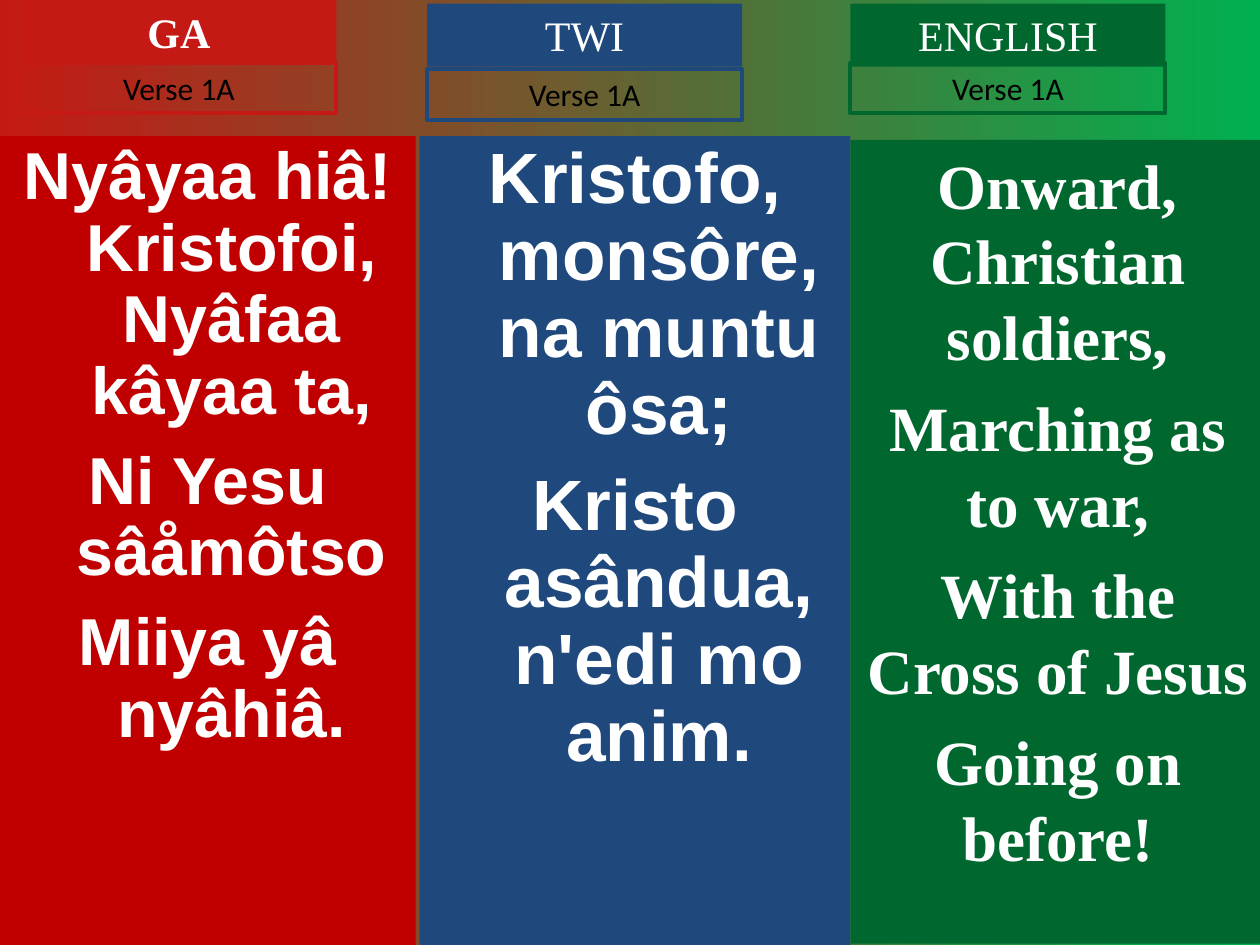
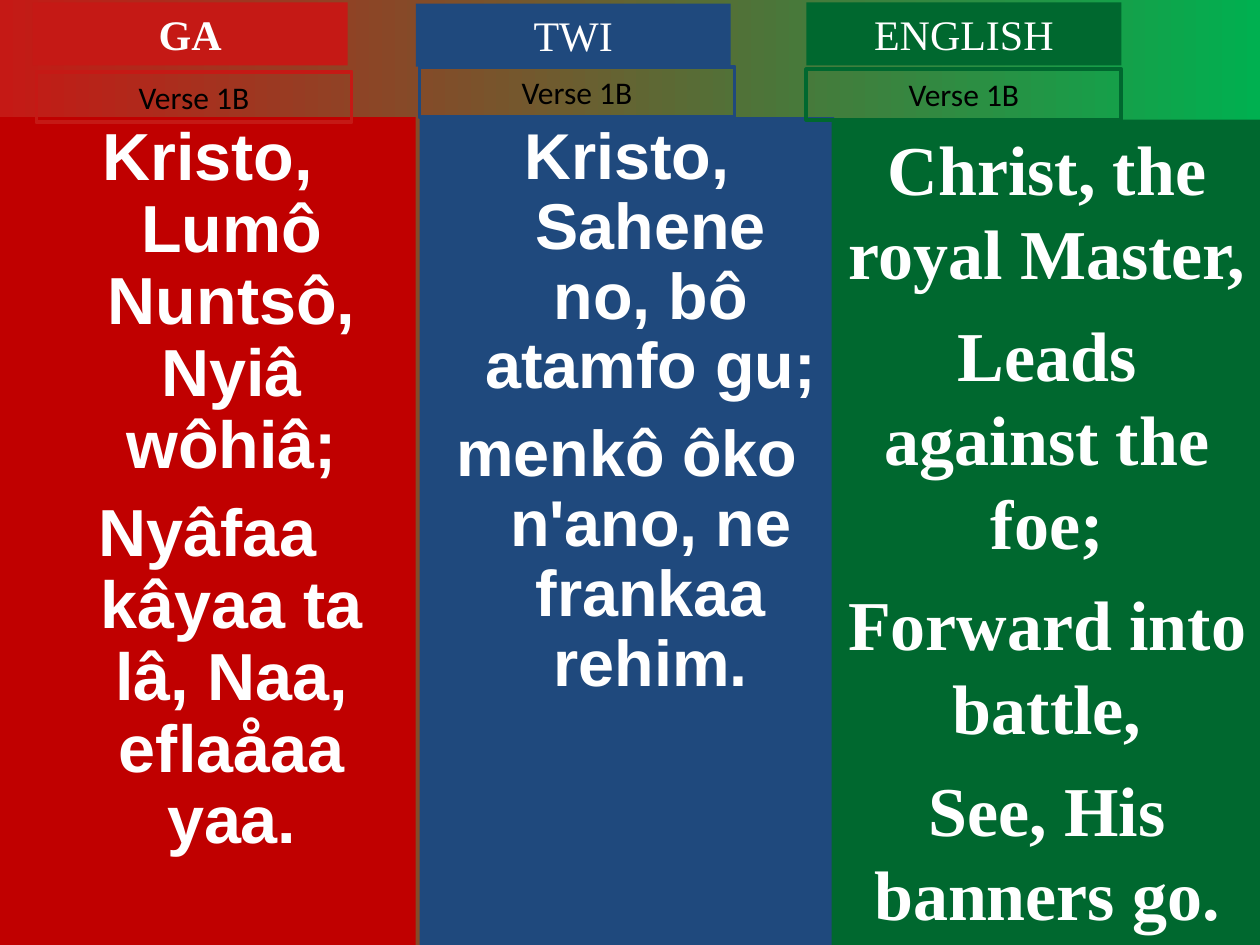
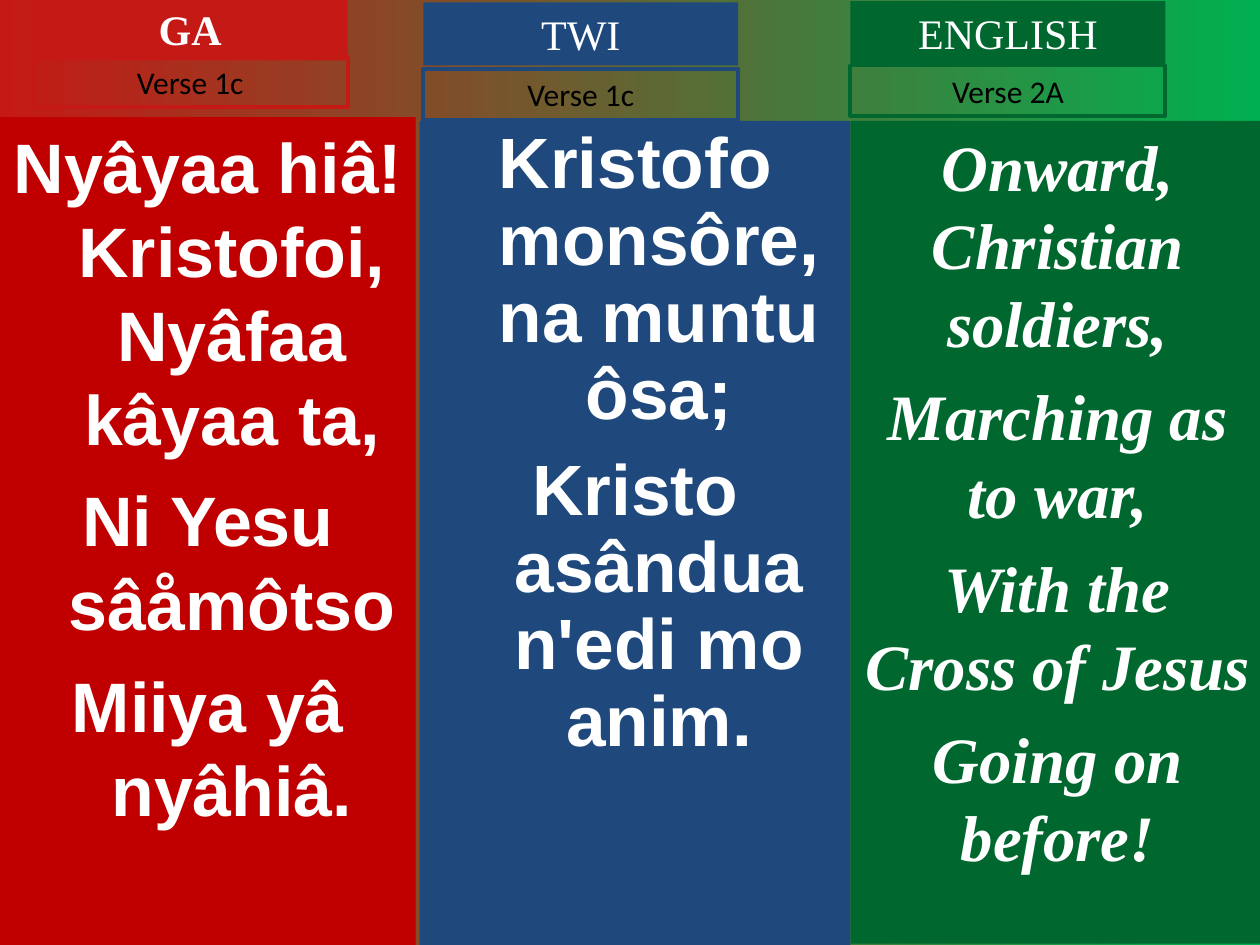
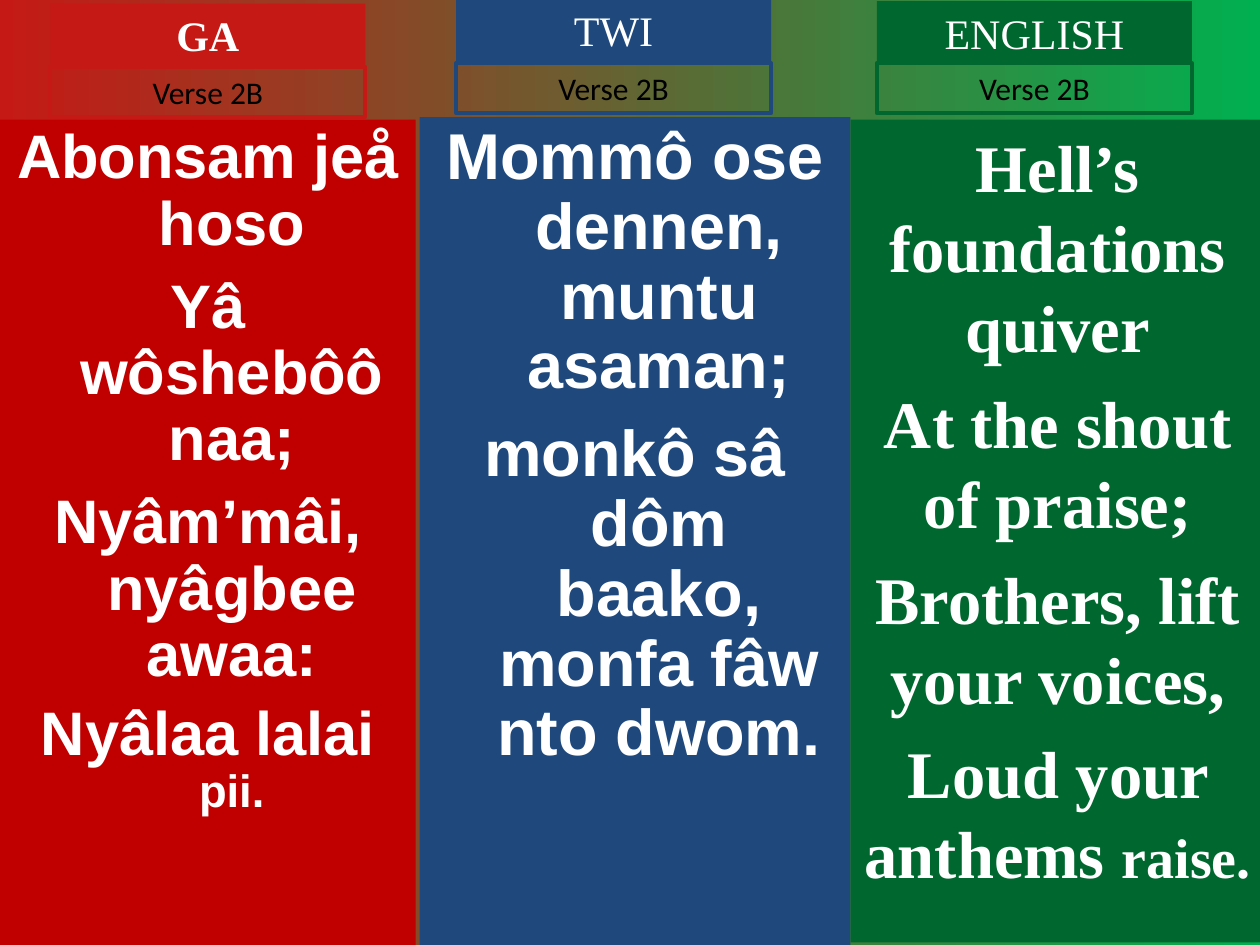
"""Build four hymn slides that set Ga, Twi and English lyrics side by side."""

from pptx import Presentation
from pptx.dml.color import RGBColor
from pptx.enum.shapes import MSO_SHAPE as Shape
from pptx.enum.text import MSO_ANCHOR as Anchor, MSO_AUTO_SIZE as AutoSize, PP_ALIGN as Align
from pptx.util import Inches, Pt

COLOURS = {
    "panel_red": "C00000",
    "label_red": "C51915",
    "blue": "1F497D",
    "green": "00682F",
    "background_green": "00B050",
    "white": "FFFFFF",
    "black": "000000",
}
HEADER_SIZE = (2.5, 0.5)
VERSE_SIZE = (2.5, 0.4)

LANGUAGES = [
    {"name": "GA", "panel": "panel_red", "label": "label_red", "font": "Arial",
     "header_bold": True, "indent": 0.38, "line_spacing": 0.9},
    {"name": "TWI", "panel": "blue", "label": "blue", "font": "Arial",
     "header_bold": False, "indent": 0.38, "line_spacing": 0.9},
    {"name": "ENGLISH", "panel": "green", "label": "green", "font": "Times New Roman",
     "header_bold": False, "indent": 0, "line_spacing": 1.0},
]

SLIDES = [
    [
        {"panel": (0, 1.08, 3.3, 6.42), "header": (0.17, 0), "verse": (0.17, 0.5),
         "label": "Verse 1A", "size": 37.9, "space": 10.3,
         "lyrics": ["Nyâyaa hiâ! Kristofoi, Nyâfaa kâyaa ta,", "Ni Yesu sâåmôtso",
                    "Miiya yâ nyâhiâ."]},
        {"panel": (3.33, 1.08, 3.42, 6.42), "header": (3.39, 0.03), "verse": (3.39, 0.55),
         "label": "Verse 1A", "size": 40.7, "space": 11,
         "lyrics": ["Kristofo, monsôre, na muntu ôsa;", "Kristo asândua, n'edi mo anim."]},
        {"panel": (6.75, 1.11, 3.29, 6.38), "header": (6.75, 0.03), "verse": (6.75, 0.5),
         "label": "Verse 1A", "size": 36, "space": 9,
         "lyrics": ["Onward, Christian soldiers,", "Marching as to war,",
                    "With the Cross of Jesus", "Going on before!"]},
    ],
    [
        {"panel": (0, 0.93, 3.3, 6.57), "header": (0.26, 0.02), "verse": (0.29, 0.57),
         "label": "Verse 1B", "size": 38, "space": 9.5,
         "lyrics": ["Kristo, Lumô Nuntsô, Nyiâ wôhiâ;",
                    "Nyâfaa kâyaa ta lâ, Naa, eflaåaa yaa."]},
        {"panel": (3.33, 0.93, 3.29, 6.57), "header": (3.3, 0.03), "verse": (3.33, 0.53),
         "label": "Verse 1B", "size": 37, "space": 10,
         "lyrics": ["Kristo, Sahene no, bô atamfo gu;", "menkô ôko n'ano, ne frankaa rehim."]},
        {"panel": (6.6, 0.95, 3.42, 6.57), "header": (6.4, 0.02), "verse": (6.4, 0.55),
         "label": "Verse 1B", "size": 40, "space": 10,
         "lyrics": ["Christ, the royal Master,", "Leads against the foe;",
                    "Forward into battle,", "See, His banners go."]},
    ],
    [
        {"panel": (0, 0.93, 3.3, 6.57), "header": (0.26, -0.02), "verse": (0.26, 0.45),
         "label": "Verse 1c", "size": 40, "space": 10, "line_spacing": 1.0,
         "lyrics": ["Nyâyaa hiâ! Kristofoi, Nyâfaa kâyaa ta,", "Ni Yesu sâåmôtso",
                    "Miiya yâ nyâhiâ."]},
        {"panel": (3.33, 0.96, 3.42, 6.54), "header": (3.36, 0.02), "verse": (3.36, 0.55),
         "label": "Verse 1c", "size": 40.7, "space": 11,
         "lyrics": ["Kristofo monsôre, na muntu ôsa;", "Kristo asândua n'edi mo anim."]},
        {"panel": (6.75, 0.96, 3.29, 6.53), "header": (6.75, 0.01), "verse": (6.75, 0.52),
         "label": "Verse 2A", "size": 37, "space": 9.2, "italic": True,
         "lyrics": ["Onward, Christian soldiers,", "Marching as to war,",
                    "With the Cross of Jesus", "Going on before!"]},
    ],
    [
        {"panel": (0, 0.95, 3.3, 6.55), "header": (0.4, 0.03), "verse": (0.4, 0.53),
         "label": "Verse 2B", "size": 35.1, "space": 9.5,
         "lyrics": ["Abonsam jeå hoso", "Yâ wôshebôô naa;", "Nyâm’mâi, nyâgbee awaa:",
                    "Nyâlaa lalai "],
         "last_word": "pii.", "last_size": 25.9, "last_space": 7},
        {"panel": (3.33, 0.93, 3.42, 6.57), "header": (3.62, -0.01), "verse": (3.62, 0.5),
         "label": "Verse 2B", "size": 37, "space": 10,
         "lyrics": ["Mommô ose dennen, muntu asaman;",
                    "monkô sâ dôm baako, monfa fâw nto dwom."]},
        {"panel": (6.75, 0.95, 3.29, 6.53), "header": (6.96, 0.01), "verse": (6.96, 0.5),
         "label": "Verse 2B", "size": 38, "space": 9.5,
         "lyrics": ["Hell’s foundations quiver", "At the shout of praise;",
                    "Brothers, lift your voices,", "Loud your anthems "],
         "last_word": "raise.", "last_size": 32, "last_space": 8},
    ],
]


def add_box(slide, bounds, fill=None, line=None):
    """Add a rectangle with top-anchored, wrapping text and return it."""
    shape = slide.shapes.add_shape(Shape.RECTANGLE, *[Inches(value) for value in bounds])
    shape.shadow.inherit = False
    if fill:
        shape.fill.solid()
        shape.fill.fore_color.rgb = RGBColor.from_string(COLOURS[fill])
    else:
        shape.fill.background()
    if line:
        shape.line.color.rgb = RGBColor.from_string(COLOURS[line])
        shape.line.width = Pt(2.25)
    else:
        shape.line.fill.background()
    shape.text_frame.word_wrap = True
    shape.text_frame.vertical_anchor = Anchor.TOP
    return shape


def format_runs(paragraph, font_name, size, colour, bold=False, italic=False):
    """Centre a paragraph and style all of its runs."""
    paragraph.alignment = Align.CENTER
    for run in paragraph.runs:
        run.font.name = font_name
        run.font.size = Pt(size)
        run.font.bold = bold
        run.font.italic = italic
        run.font.color.rgb = RGBColor.from_string(COLOURS[colour])


presentation = Presentation()
presentation.slide_width = Inches(10)
presentation.slide_height = Inches(7.5)

for columns in SLIDES:
    slide = presentation.slides.add_slide(presentation.slide_layouts[6])
    background = slide.background.fill
    background.gradient()
    background.gradient_angle = 0
    for stop, position, colour in zip(background.gradient_stops, (0, 1),
                                      ("label_red", "background_green")):
        stop.position = position
        stop.color.rgb = RGBColor.from_string(COLOURS[colour])

    for language, column in zip(LANGUAGES, columns):
        panel = add_box(slide, column["panel"], fill=language["panel"])
        text_frame = panel.text_frame
        text_frame.text = "\n".join(column["lyrics"])
        for index, paragraph in enumerate(text_frame.paragraphs):
            format_runs(paragraph, language["font"], column["size"], "white", True,
                        column.get("italic", False))
            paragraph.line_spacing = column.get("line_spacing", language["line_spacing"])
            if index:
                paragraph.space_before = Pt(column["space"])
            if language["indent"]:
                properties = paragraph._p.get_or_add_pPr()
                properties.set("marL", str(Inches(language["indent"])))
                properties.set("indent", str(-Inches(language["indent"])))
        if "last_word" in column:
            paragraph.space_before = Pt(column["last_space"])
            paragraph.add_run().text = column["last_word"]
            format_runs(paragraph, language["font"], column["size"], "white", True)
            paragraph.runs[-1].font.size = Pt(column["last_size"])

    for language, column in zip(LANGUAGES, columns):
        header = add_box(slide, column["header"] + HEADER_SIZE, fill=language["label"])
        header.text_frame.text = language["name"]
        format_runs(header.text_frame.paragraphs[0], "Times New Roman", 24, "white",
                    language["header_bold"])
        verse = add_box(slide, column["verse"] + VERSE_SIZE, line=language["label"])
        verse.text_frame.text = column["label"]
        format_runs(verse.text_frame.paragraphs[0], "Calibri", 18, "black")
        for label in (header, verse):
            label.text_frame.auto_size = AutoSize.SHAPE_TO_FIT_TEXT

presentation.save("out.pptx")
